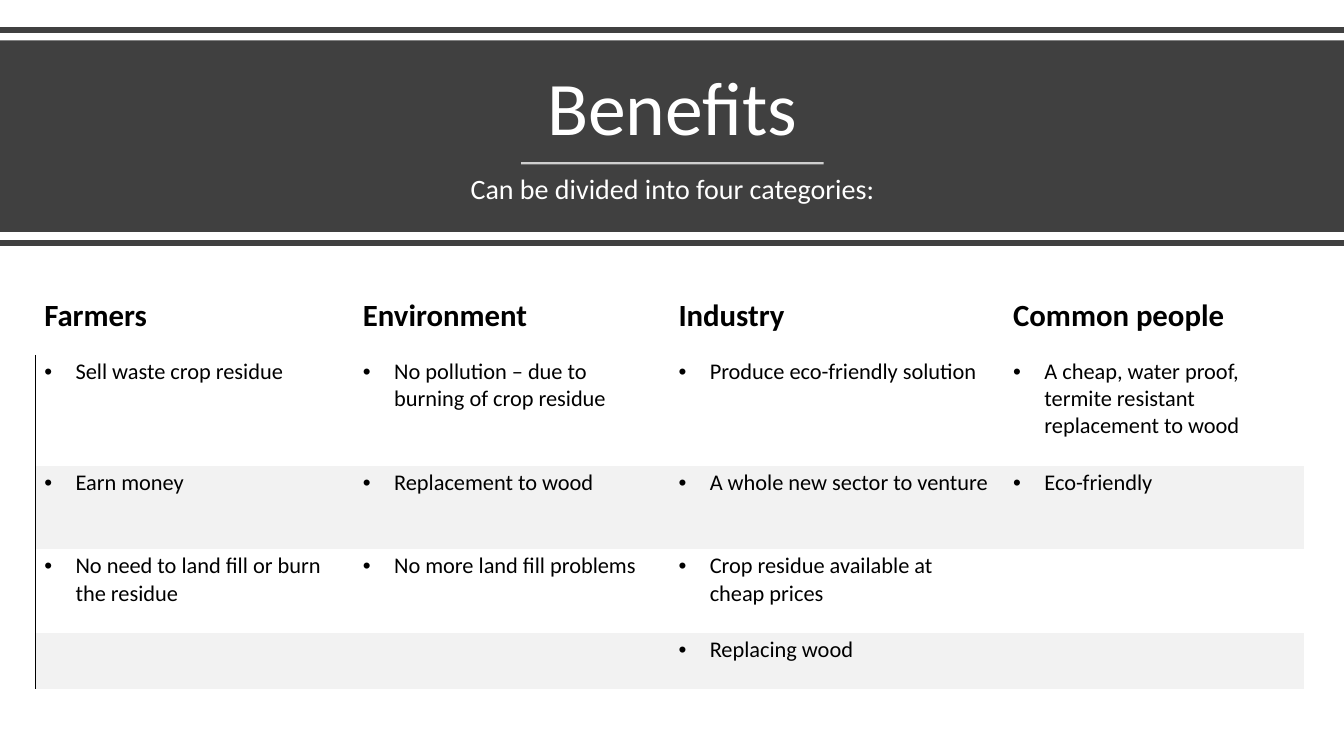
"""Build the Benefits slide: a dark title band above a four-column table."""
from dataclasses import dataclass

from lxml.etree import SubElement
from pptx import Presentation
from pptx.dml.color import RGBColor
from pptx.enum.shapes import MSO_CONNECTOR as Connector, MSO_SHAPE as Preset
from pptx.enum.text import MSO_ANCHOR as Anchor, MSO_AUTO_SIZE as AutoSize, PP_ALIGN as Align
from pptx.oxml import parse_xml
from pptx.oxml.ns import nsdecls, qn
from pptx.util import Inches, Pt

COLORS = {"dark": "404040", "white": "FFFFFF", "black": "000000", "stripe": "F2F2F2"}
FONT = "Calibri"
NO_STYLE_NO_GRID = "{2D5ABB26-0587-4C30-8999-92F81FD0307C}"


@dataclass(frozen=True)
class Rule:
    left: float
    right: float
    top: float
    color: str
    width: float
    opacity: int = 100


@dataclass(frozen=True)
class Heading:
    index: int
    text: str
    left: float
    top: float
    width: float
    height: float
    size: int
    anchor: Anchor
    space_before: int


@dataclass(frozen=True)
class Column:
    width: float
    title: str
    benefits: tuple[str, ...]


RULES = (
    Rule(0, 13.33, 0.3, "dark", 4),
    Rule(5.17, 8.17, 1.62, "white", 1.5, 75),
    Rule(0, 13.33, 2.41, "dark", 4),
)
HEADINGS = (
    Heading(0, "Benefits", 0.58, 0.54, 12.18, 1.02, 54, Anchor.BOTTOM, 0),
    Heading(1, "Can be divided into four categories:", 1.67, 1.69, 10, 0.46, 20, Anchor.TOP, 10),
)
COLUMNS = (
    Column(3.16, "Farmers", (
        "Sell waste crop residue", "Earn money", "No need to land fill or burn the residue")),
    Column(3.13, "Environment", (
        "No pollution – due to burning of crop residue", "Replacement to wood",
        "No more land fill problems")),
    Column(3.32, "Industry", (
        "Produce eco-friendly solution", "A whole new sector to venture",
        "Crop residue available at cheap prices", "Replacing wood")),
    Column(2.97, "Common people", (
        "A cheap, water proof, termite resistant replacement to wood", "Eco-friendly")),
)
ROW_HEIGHTS = (0.65, 1.1, 0.83, 0.83, 0.56)


def rgb(name: str) -> RGBColor:
    """Look up a named colour."""
    return RGBColor.from_string(COLORS[name])


def style_text(para, size: int, color: str, bold: bool = False) -> None:
    """Format every run of a paragraph."""
    for span in para.runs:
        span.font.name, span.font.size, span.font.bold = FONT, Pt(size), bold
        span.font.color.rgb = rgb(color)


def set_bullet(para, indent: float, mark: str = "") -> None:
    """Give a paragraph a hanging bullet, or none."""
    props = para._p.get_or_add_pPr()
    props.set("marL", str(Inches(indent)))
    props.set("indent", str(-Inches(indent)))
    if mark:
        SubElement(props, qn("a:buFont"), typeface="Arial")
        SubElement(props, qn("a:buChar"), char=mark)
    else:
        SubElement(props, qn("a:buNone"))


def draw_band(page) -> None:
    """Draw the title band behind the placeholders."""
    band = page.shapes.add_shape(Preset.RECTANGLE, 0, Inches(0.4), Inches(13.33), Inches(1.9))
    band.shadow.inherit = False
    band.fill.solid()
    band.fill.fore_color.rgb = rgb("dark")
    band.line.fill.background()
    page.shapes.title.element.addprevious(band.element)


def draw_rule(page, rule: Rule) -> None:
    """Draw a horizontal line."""
    top = Inches(rule.top)
    line = page.shapes.add_connector(
        Connector.STRAIGHT, Inches(rule.left), top, Inches(rule.right), top)
    line.line.width = Pt(rule.width)
    line.line.color.rgb = rgb(rule.color)
    props = line.element.spPr
    SubElement(props, qn("a:effectLst"))
    if rule.opacity < 100:
        SubElement(next(props.iter(qn("a:srgbClr"))), qn("a:alpha"), val=str(rule.opacity * 1000))


def fill_heading(page, heading: Heading) -> None:
    """Place and format a centred placeholder."""
    box = page.placeholders[heading.index]
    box.left, box.top = Inches(heading.left), Inches(heading.top)
    box.width, box.height = Inches(heading.width), Inches(heading.height)
    frame = box.text_frame
    frame.text = heading.text
    frame.word_wrap, frame.auto_size = True, AutoSize.NONE
    frame.vertical_anchor = heading.anchor
    para = frame.paragraphs[0]
    para.alignment, para.line_spacing = Align.CENTER, 0.9
    para.space_before = Pt(heading.space_before)
    set_bullet(para, 0)
    style_text(para, heading.size, "white")


def fill_cell(cell, text: str, row: int, has_border: bool) -> None:
    """Write one table cell with its fill and left border."""
    cell.margin_left, cell.margin_top = Inches(0.09), Inches(0.03)
    cell.margin_right, cell.margin_bottom = Inches(0.15), Inches(0.2)
    is_header = row == 0
    cell.vertical_anchor = Anchor.BOTTOM if is_header else Anchor.TOP
    if row and row % 2 == 0:
        cell.fill.solid()
        cell.fill.fore_color.rgb = rgb("stripe")
    else:
        cell.fill.background()
    if has_border:
        cell._tc.get_or_add_tcPr().insert(0, parse_xml(
            f'<a:lnL {nsdecls("a")} w="{Pt(0.75)}"><a:solidFill>'
            f'<a:srgbClr val="{COLORS["black"]}"/></a:solidFill></a:lnL>'))
    if text:
        cell.text_frame.text = text
        para = cell.text_frame.paragraphs[0]
        if not is_header:
            set_bullet(para, 0.31, "•")
        style_text(para, 22 if is_header else 16, "black", is_header)


def draw_table(page) -> None:
    """Draw the table of benefits."""
    width = sum(column.width for column in COLUMNS)
    frame = page.shapes.add_table(
        len(ROW_HEIGHTS), len(COLUMNS), Inches(0.35), Inches(2.87),
        Inches(width), Inches(sum(ROW_HEIGHTS)))
    table = frame.table
    table.first_row = table.horz_banding = False
    next(frame.element.iter(qn("a:tableStyleId"))).text = NO_STYLE_NO_GRID
    for row, height in enumerate(ROW_HEIGHTS):
        table.rows[row].height = Inches(height)
    for index, column in enumerate(COLUMNS):
        table.columns[index].width = Inches(column.width)
        texts = (column.title, *column.benefits)
        for row in range(len(ROW_HEIGHTS)):
            text = texts[row] if row < len(texts) else ""
            fill_cell(table.cell(row, index), text, row, index == 0 and row > 0)


def main() -> None:
    """Build and save the deck."""
    deck = Presentation()
    deck.slide_width, deck.slide_height = Inches(13.33), Inches(7.5)
    page = deck.slides.add_slide(deck.slide_layouts[1])
    draw_band(page)
    for heading in HEADINGS:
        fill_heading(page, heading)
    for rule in RULES:
        draw_rule(page, rule)
    draw_table(page)
    deck.save("out.pptx")


main()
